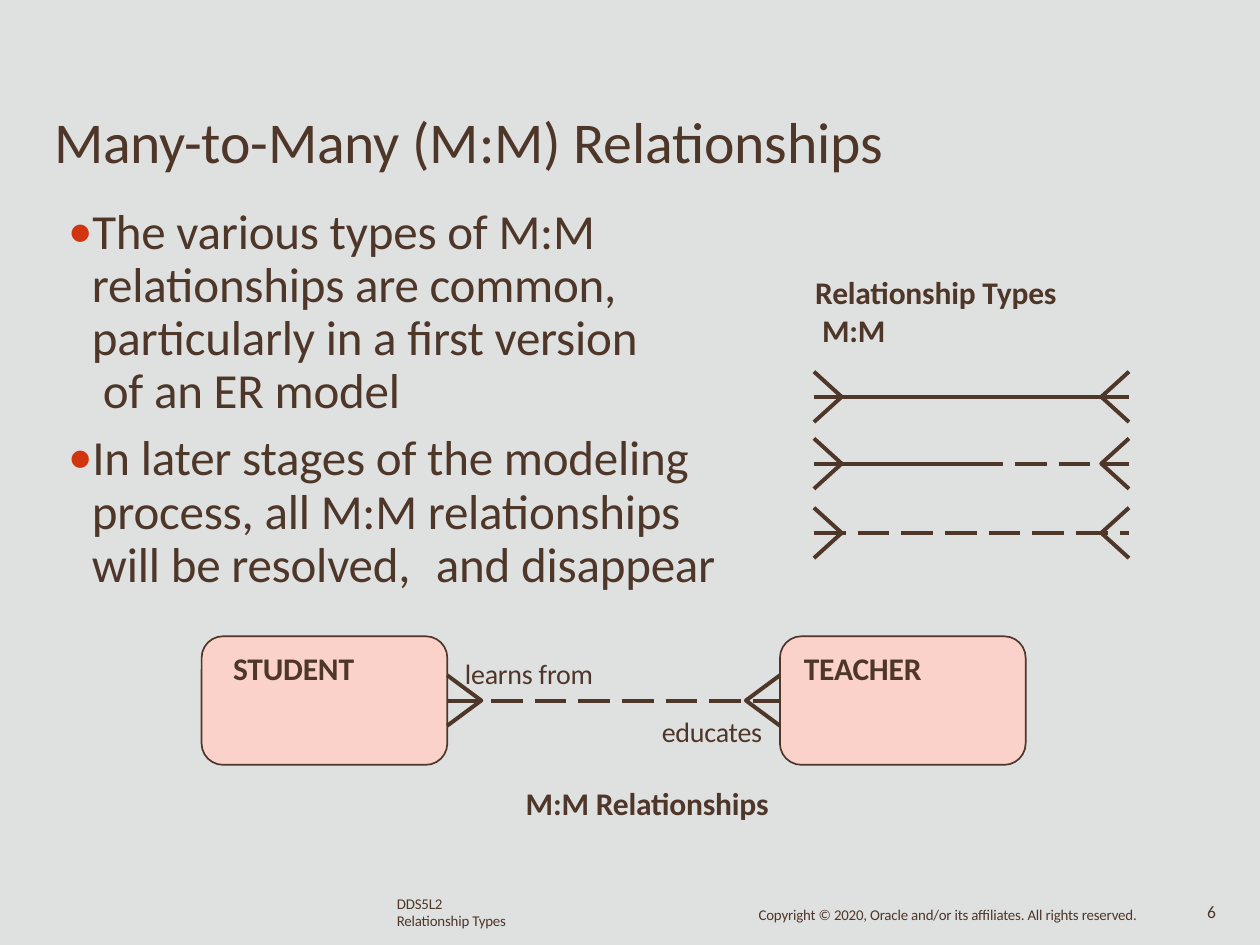
from dataclasses import dataclass

import lxml.etree
import pptx
import pptx.dml.color
import pptx.enum.dml
import pptx.enum.shapes
import pptx.enum.text
import pptx.oxml
import pptx.oxml.ns
import pptx.util

EMU_PER_PX = 9144
ALIGN = pptx.enum.text.PP_ALIGN
DASH = pptx.enum.dml.MSO_LINE.LONG_DASH


@dataclass(frozen=True)
class Theme:
    font: str = "Calibri"
    ink: str = "4E3629"
    paper: str = "DFE1E0"
    entity: str = "FAD2C9"
    bullet: str = "D1350F"
    title: float = 33
    body: float = 28
    heading: float = 18
    label: float = 16
    page: float = 10
    footer: float = 8.5
    stroke: float = 2.28
    outline: float = 0.96


@dataclass(frozen=True)
class Entity:
    name: str
    left: int
    inset: int


@dataclass(frozen=True)
class RelationshipType:
    y: int
    left_dashed: bool
    right_dashed: bool


@dataclass(frozen=True)
class Label:
    text: str
    box: tuple[int, int, int, int]
    size: float
    bold: bool = False
    align: ALIGN = ALIGN.LEFT
    leading: float | None = None


THEME = Theme()
ENTITY_TOP, ENTITY_WIDTH, ENTITY_HEIGHT = 505, 195, 102
LINE_LEFT, LINE_RIGHT = 646, 896
LINE_MIDDLE = (LINE_LEFT + LINE_RIGHT) // 2

ENTITIES = [Entity("STUDENT", 160, 20), Entity("TEACHER", 619, 14)]
RELATIONSHIP_TYPES = [
    RelationshipType(315, False, False),
    RelationshipType(368, False, True),
    RelationshipType(423, True, True),
]
LABELS = [
    Label("learns from", (369, 521, 120, 27), THEME.label),
    Label("educates", (505, 567, 100, 27), THEME.label, align=ALIGN.RIGHT),
    Label("M:M Relationships", (410, 622, 200, 31), THEME.heading, True, ALIGN.RIGHT),
    Label("Relationship Types\v M:M", (647, 217, 210, 61), THEME.heading, True),
    Label("DDS5L2\nRelationship Types", (315, 711, 110, 27), THEME.footer, leading=9.7),
    Label(
        "Copyright © 2020, Oracle and/or its affiliates. All rights reserved.",
        (602, 719, 325, 15),
        THEME.footer,
    ),
    Label("6", (958, 715, 20, 17), THEME.page),
]
POINTS = (
    "The various types of M:M relationships are common, "
    "particularly in a first version\v of an ER model\n"
    "In later stages of the modeling process, all M:M relationships "
    "will be resolved,\tand disappear"
)


def px(length: int) -> pptx.util.Emu:
    return pptx.util.Emu(length * EMU_PER_PX)


def color(value: str) -> pptx.dml.color.RGBColor:
    return pptx.dml.color.RGBColor.from_string(value)


def place(shape, left: int, top: int, width: int, height: int) -> None:
    shape.left, shape.top = px(left), px(top)
    shape.width, shape.height = px(width), px(height)


def write(
    shape,
    text: str,
    *,
    size: float,
    bold: bool = False,
    align: ALIGN = ALIGN.LEFT,
    leading: float | None = None,
    gap: float = 0,
    inset: tuple[int, int] = (0, 0),
) -> None:
    frame = shape.text_frame
    frame.text = text
    frame.word_wrap = True
    frame.auto_size = pptx.enum.text.MSO_AUTO_SIZE.NONE
    frame.vertical_anchor = pptx.enum.text.MSO_ANCHOR.TOP
    frame.margin_left, frame.margin_top = px(inset[0]), px(inset[1])
    frame.margin_right = frame.margin_bottom = 0
    for index, paragraph in enumerate(frame.paragraphs):
        paragraph.alignment = align
        paragraph.space_before = pptx.util.Pt(gap if index else 0)
        if leading:
            paragraph.line_spacing = pptx.util.Pt(leading)
        for run in paragraph.runs:
            run.font.name = THEME.font
            run.font.size = pptx.util.Pt(size)
            run.font.bold = bold
            run.font.color.rgb = color(THEME.ink)
            run._r.get_or_add_rPr().set("spc", "-10")


def add_bullets(shape) -> None:
    namespace = pptx.oxml.ns.nsdecls("a")
    parts = (
        f'<a:buClr {namespace}><a:srgbClr val="{THEME.bullet}"/></a:buClr>',
        f'<a:buFont {namespace} typeface="{THEME.font}"/>',
        f'<a:buChar {namespace} char="•"/>',
        f'<a:tabLst {namespace}><a:tab pos="{px(293)}" algn="l"/></a:tabLst>',
    )
    for paragraph in shape.text_frame.paragraphs:
        properties = paragraph._p.get_or_add_pPr()
        properties.set("marL", str(px(20)))
        properties.set("indent", str(px(-19)))
        for part in parts:
            properties.append(pptx.oxml.parse_xml(part))


def stroke(shape, width: float, dashed: bool = False) -> None:
    shape.line.color.rgb = color(THEME.ink)
    shape.line.width = pptx.util.Pt(width)
    if dashed:
        shape.line.dash_style = DASH


def add_line(slide, left: int, right: int, y: int, dashed: bool):
    line = slide.shapes.add_connector(
        pptx.enum.shapes.MSO_CONNECTOR.STRAIGHT, px(left), px(y), px(right), px(y)
    )
    stroke(line, THEME.stroke, dashed)
    lxml.etree.SubElement(line._element.spPr, pptx.oxml.ns.qn("a:effectLst"))
    return line


def add_crows_foot(slide, edge: int, tip: int, y: int) -> None:
    builder = slide.shapes.build_freeform(edge, y - 20, scale=EMU_PER_PX)
    builder.add_line_segments([(tip, y), (edge, y + 20)], close=False)
    foot = builder.convert_to_shape()
    foot.shadow.inherit = False
    foot.fill.background()
    stroke(foot, THEME.stroke)


def add_entity(slide, entity: Entity):
    box = slide.shapes.add_shape(
        pptx.enum.shapes.MSO_SHAPE.ROUNDED_RECTANGLE, 0, 0, 0, 0
    )
    place(box, entity.left, ENTITY_TOP, ENTITY_WIDTH, ENTITY_HEIGHT)
    box.shadow.inherit = False
    box.fill.solid()
    box.fill.fore_color.rgb = color(THEME.entity)
    stroke(box, THEME.outline)
    write(box, entity.name, size=THEME.heading, bold=True, inset=(entity.inset, 5))
    return box


def add_relationship_type(slide, kind: RelationshipType) -> None:
    if kind.left_dashed == kind.right_dashed:
        add_line(slide, LINE_LEFT, LINE_RIGHT, kind.y, kind.left_dashed)
    else:
        add_line(slide, LINE_LEFT, LINE_MIDDLE, kind.y, kind.left_dashed)
        add_line(slide, LINE_MIDDLE, LINE_RIGHT, kind.y, kind.right_dashed)
    add_crows_foot(slide, LINE_LEFT, LINE_LEFT + 22, kind.y)
    add_crows_foot(slide, LINE_RIGHT, LINE_RIGHT - 22, kind.y)


def add_label(slide, label: Label) -> None:
    box = slide.shapes.add_textbox(*map(px, label.box))
    write(
        box, label.text, size=label.size, bold=label.bold,
        align=label.align, leading=label.leading,
    )


def main() -> None:
    deck = pptx.Presentation()
    deck.slide_width, deck.slide_height = px(1000), px(750)
    slide = deck.slides.add_slide(deck.slide_layouts[1])
    slide.background.fill.solid()
    slide.background.fill.fore_color.rgb = color(THEME.paper)

    heading, points = slide.placeholders
    place(heading, 43, 84, 928, 57)
    write(heading, "Many-to-Many (M:M) Relationships", size=THEME.title)
    place(points, 53, 164, 525, 304)
    write(points, POINTS, size=THEME.body, leading=30.3, gap=8)
    add_bullets(points)

    student, teacher = [add_entity(slide, entity) for entity in ENTITIES]
    student_edge, teacher_edge = ENTITIES[0].left + ENTITY_WIDTH, ENTITIES[1].left
    middle = ENTITY_TOP + ENTITY_HEIGHT // 2
    learning = add_line(slide, student_edge, teacher_edge, middle, True)
    learning.begin_connect(student, 3)
    learning.end_connect(teacher, 1)
    add_crows_foot(slide, student_edge, student_edge + 27, middle)
    add_crows_foot(slide, teacher_edge, teacher_edge - 27, middle)

    for kind in RELATIONSHIP_TYPES:
        add_relationship_type(slide, kind)
    for label in LABELS:
        add_label(slide, label)
    deck.save("out.pptx")


if __name__ == "__main__":
    main()
